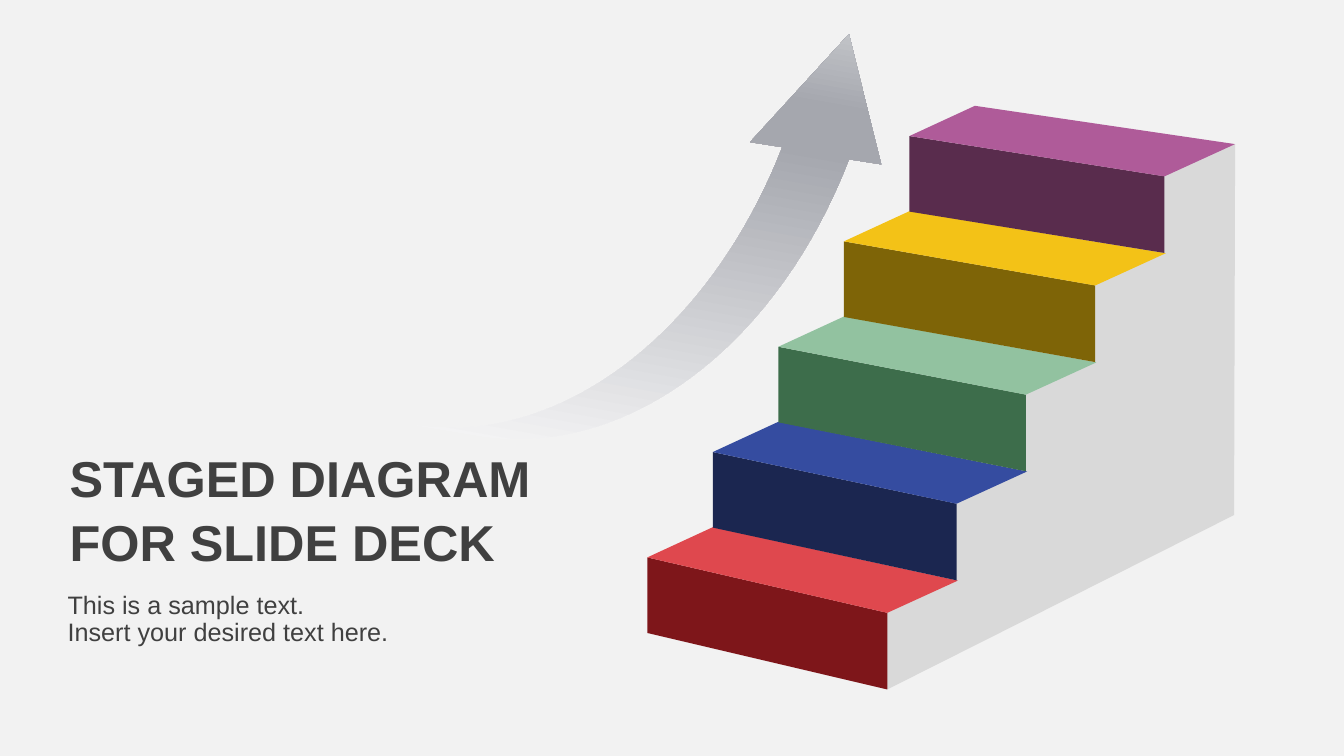
from lxml.etree import SubElement
from pptx import Presentation
from pptx.dml.color import RGBColor as Rgb
from pptx.enum.text import MSO_ANCHOR as Anchor, MSO_AUTO_SIZE as Auto, PP_ALIGN as Align
from pptx.oxml.ns import qn
from pptx.util import Inches, Pt

PAPER = Rgb(0xF2, 0xF2, 0xF2)
INK = Rgb(0x40, 0x40, 0x40)
SIDE = Rgb(0xD9, 0xD9, 0xD9)
PALE = Rgb(0xF5, 0xF5, 0xF6)
STEEL = Rgb(0xA5, 0xA7, 0xAE)
MIST = Rgb(0xC3, 0xC5, 0xC9)
STEPS = [
    (Rgb(0x7E, 0x16, 0x1A), Rgb(0xDF, 0x48, 0x4E)),
    (Rgb(0x1B, 0x26, 0x50), Rgb(0x35, 0x4C, 0xA0)),
    (Rgb(0x3D, 0x6D, 0x4B), Rgb(0x92, 0xC2, 0xA0)),
    (Rgb(0x7E, 0x64, 0x07), Rgb(0xF3, 0xC2, 0x17)),
    (Rgb(0x59, 0x2C, 0x4D), Rgb(0xAF, 0x5B, 0x99)),
]
FADE = [(0, PALE), (74, STEEL), (83, STEEL), (100, MIST)]


def write(shape, text, size, bold=False, line=1.0, gap=0, inset=0, anchor=Anchor.TOP):
    """Fill a shape with left-aligned text, one paragraph per line."""
    frame = shape.text_frame
    frame.word_wrap, frame.auto_size = True, Auto.NONE
    frame.vertical_anchor = anchor
    frame.margin_left = frame.margin_right = 0
    frame.margin_top = frame.margin_bottom = Inches(inset)
    frame.text = text
    for row, para in enumerate(frame.paragraphs):
        para.alignment = Align.LEFT
        para.line_spacing = line
        para.space_before = Pt(gap if row else 0)
        for run in para.runs:
            font = run.font
            font.name, font.size, font.bold = "Arial", Pt(size), bold
            font.color.rgb = INK


def place(shape, left, top, width, height):
    """Move and size a shape."""
    shape.left, shape.top = Inches(left), Inches(top)
    shape.width, shape.height = Inches(width), Inches(height)


def outline(shapes, points, color=None):
    """Draw a closed shape without a line through points in inches."""
    spots = [(Inches(x), Inches(y)) for x, y in points]
    pen = shapes.build_freeform(*spots[0])
    pen.add_line_segments(spots[1:], close=True)
    shape = pen.convert_to_shape()
    shape.shadow.inherit = False
    shape.line.fill.background()
    if color is not None:
        shape.fill.solid()
        shape.fill.fore_color.rgb = color
    return shape


def curve(a, b, c, d, count=40):
    """Return points along a cubic curve."""
    def at(t, axis):
        """Return one coordinate of the curve."""
        s = 1 - t
        return (s**3 * a[axis] + 3 * s * s * t * b[axis]
                + 3 * s * t * t * c[axis] + t**3 * d[axis])
    return [(at(n / count, 0), at(n / count, 1)) for n in range(count + 1)]


def fade(shape, stops, angle):
    """Give a shape a linear gradient with any number of stops."""
    shape.fill.gradient()
    shape.fill.gradient_angle = angle
    ramp = shape.element.spPr.find(qn("a:gradFill")).find(qn("a:gsLst"))
    for old in list(ramp):
        ramp.remove(old)
    for spot, color in stops:
        stop = SubElement(ramp, qn("a:gs"), pos=str(spot * 1000))
        SubElement(stop, qn("a:srgbClr"), val=str(color))


def arrow(shapes):
    """Draw the rising arrow."""
    inner = curve((7.76, 1.46), (7.03, 3.33), (5.52, 4.46), (4.07, 4.21))
    outer = curve((4.73, 4.32), (6.19, 4.57), (7.7, 3.45), (8.42, 1.58))
    points = [(8.42, 0.34), (7.44, 1.41), *inner, *outer, (8.74, 1.63)]
    fade(outline(shapes, points), FADE, 80)


def stairs(shapes):
    """Draw the grey side and the coloured steps, lowest first."""
    outline(shapes, [(12.25, 1.43), (12.24, 5.11), (8.8, 6.84),
                     (8.74, 6.13), (9.02, 5.11), (11.25, 1.82)], SIDE)
    group = shapes.add_group_shape().shapes
    for step, (dark, light) in enumerate(STEPS):
        part = step / (len(STEPS) - 1)
        left, high = 6.42 + 2.6 * part, 5.53 - 4.18 * part
        right, low = 8.8 + 2.75 * part, 6.08 - 4.33 * part
        edge = [(left, high), (right, low)]
        outline(group, edge + [(right, low + 0.76), (left, high + 0.75)], dark)
        outline(group, edge + [(right + 0.7, low - 0.32),
                               (left + 0.65, high - 0.3)], light)


def main():
    """Build and save the slide."""
    deck = Presentation()
    deck.slide_width, deck.slide_height = Inches(13.33), Inches(7.5)
    slide = deck.slides.add_slide(deck.slide_layouts[5])
    slide.background.fill.solid()
    slide.background.fill.fore_color.rgb = PAPER
    shapes = slide.shapes
    arrow(shapes)
    stairs(shapes)
    place(shapes.title, 0.69, 3.33, 5.98, 2.34)
    write(shapes.title, "STAGED DIAGRAM\vFOR SLIDE DECK", 36, bold=True,
          line=1.05, anchor=Anchor.BOTTOM)
    note = shapes.add_textbox(0, 0, 0, 0)
    place(note, 0.67, 5.86, 5.99, 0.81)
    write(note, "This is a sample text.\nInsert your desired text here.", 18,
          line=0.7, gap=4, inset=0.07)
    deck.save("out.pptx")


if __name__ == "__main__":
    main()
